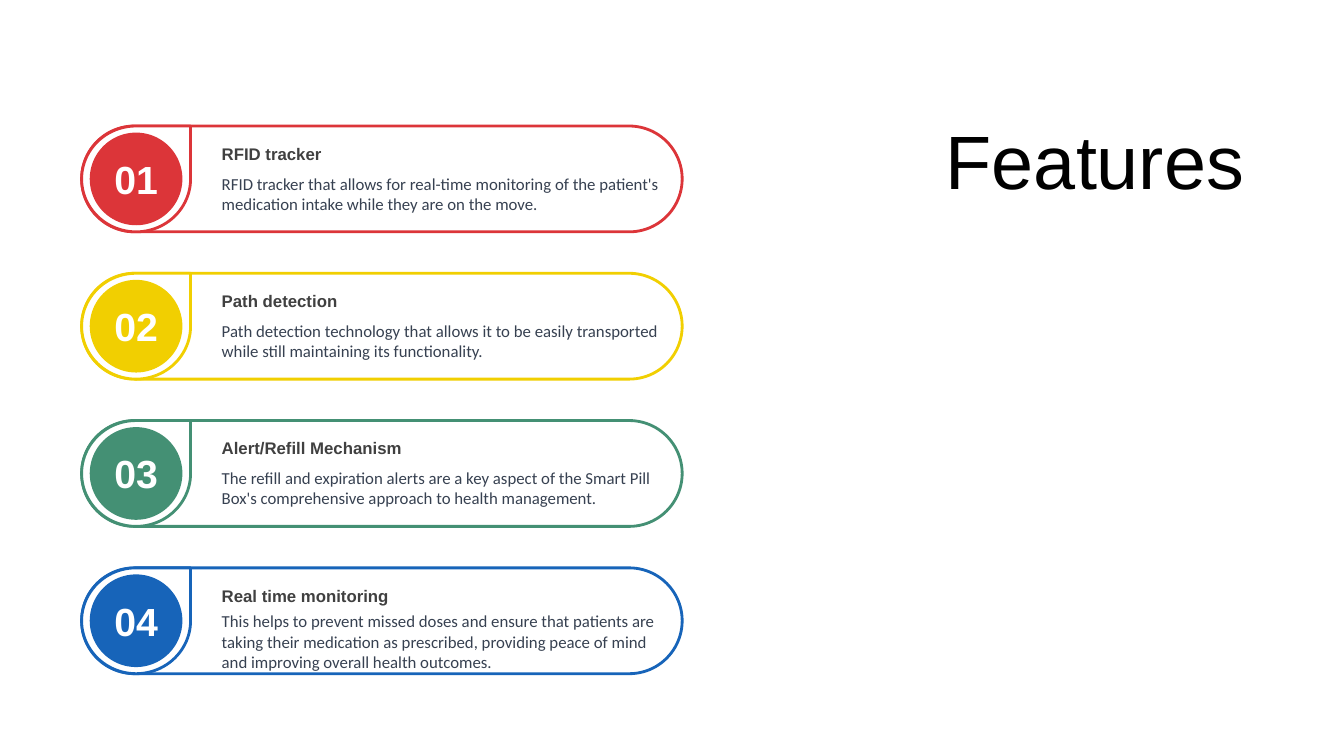
"""Build the Features slide: four numbered capsule cards beside a title."""
from pptx import Presentation
from pptx.dml.color import RGBColor
from pptx.enum import shapes, text
from pptx.util import Pt

WHITE = RGBColor(0xFF, 0xFF, 0xFF)
BLACK = RGBColor(0x00, 0x00, 0x00)
HEADING = RGBColor(0x40, 0x40, 0x40)
BODY = RGBColor(0x37, 0x41, 0x51)
RED = RGBColor(0xDC, 0x35, 0x39)
YELLOW = RGBColor(0xF1, 0xCF, 0x01)
GREEN = RGBColor(0x44, 0x90, 0x74)
BLUE = RGBColor(0x17, 0x64, 0xB9)

CARD_LEFT, CARD_TOP, CARD_PITCH = 58.3, 90, 105.2
CARD_WIDTH, CARD_HEIGHT = 429, 75.6
TEXT_LEFT, TEXT_WIDTH = 154.8, 330

FEATURES = [
    (RED, "RFID tracker", 30.6, 35.3,
     "RFID tracker that allows for real-time monitoring of the patient's "
     "medication intake while they are on the move."),
    (YELLOW, "Path detection", 30.2, 35.3,
     "Path detection technology that allows it to be easily transported "
     "while still maintaining its functionality."),
    (GREEN, "Alert/Refill Mechanism", 30.2, 35.3,
     "The refill and expiration alerts are a key aspect of the Smart Pill "
     "Box's comprehensive approach to health management."),
    (BLUE, "Real time monitoring", 27.4, 49,
     "This helps to prevent missed doses and ensure that patients are taking "
     "their medication as prescribed, providing peace of mind and improving "
     "overall health outcomes."),
]


def write(box, words, size, color, font="Arial", bold=False,
          align=text.PP_ALIGN.LEFT, anchor=text.MSO_ANCHOR.TOP):
    """Fill a box with one formatted paragraph."""
    frame = box.text_frame
    frame.word_wrap = True
    frame.auto_size = text.MSO_AUTO_SIZE.NONE
    frame.vertical_anchor = anchor
    frame.margin_left = frame.margin_right = Pt(3.6)
    frame.margin_top = frame.margin_bottom = Pt(3.6)
    para = frame.paragraphs[0]
    para.alignment = align
    span = para.add_run()
    span.text = words
    span.font.name = font
    span.font.size = Pt(size)
    span.font.bold = bold
    span.font.color.rgb = color


def add_text(parent, left, top, width, height, words, **style):
    """Add a text box holding formatted words."""
    box = parent.shapes.add_textbox(Pt(left), Pt(top), Pt(width), Pt(height))
    write(box, words, **style)


def add_figure(parent, kind, left, top, width, height, fill, line=None):
    """Add a flat preset shape with an optional outline and return it."""
    figure = parent.shapes.add_shape(kind, Pt(left), Pt(top), Pt(width), Pt(height))
    figure.shadow.inherit = False
    figure.fill.solid()
    figure.fill.fore_color.rgb = fill
    if line is None:
        figure.line.fill.background()
    else:
        figure.line.color.rgb = line
        figure.line.width = Pt(2)
    return figure


def add_card(page, number, color, heading, body_offset, body_height, body):
    """Add one grouped capsule with its number badge, heading and body."""
    kinds = shapes.MSO_SHAPE
    top = CARD_TOP + (number - 1) * CARD_PITCH
    card = page.shapes.add_group_shape()
    capsule = add_figure(card, kinds.ROUNDED_RECTANGLE, CARD_LEFT, top,
                         CARD_WIDTH, CARD_HEIGHT, WHITE, line=color)
    capsule.adjustments[0] = 0.5
    add_figure(card, kinds.TEAR, CARD_LEFT, top, 77.8, CARD_HEIGHT, WHITE, line=color)
    add_figure(card, kinds.OVAL, 64.1, top + 4.7, 66.2, 66.2, color)
    add_text(card, 72.7, top + 17.2, 49, 38, f"{number:02}", size=28,
             color=WHITE, bold=True, align=text.PP_ALIGN.CENTER)
    add_text(card, TEXT_LEFT, top + 8.9, TEXT_WIDTH, 21, heading, size=12,
             color=HEADING, bold=True)
    add_text(card, TEXT_LEFT, top + body_offset, TEXT_WIDTH, body_height, body,
             size=12, color=BODY, font="Calibri")


def add_title(page, words):
    """Place and format the slide title."""
    title = page.shapes.title
    title.left, title.top = Pt(562.3), Pt(80)
    title.width, title.height = Pt(330), Pt(67.7)
    write(title, words, size=54, color=BLACK, align=text.PP_ALIGN.RIGHT,
          anchor=text.MSO_ANCHOR.MIDDLE)


def main():
    """Create and save the deck."""
    deck = Presentation()
    deck.slide_width, deck.slide_height = Pt(960), Pt(540)
    page = deck.slides.add_slide(deck.slide_layouts.get_by_name("Title Only"))
    add_title(page, "Features")
    for number, feature in enumerate(FEATURES, start=1):
        add_card(page, number, *feature)
    deck.save("out.pptx")


main()
